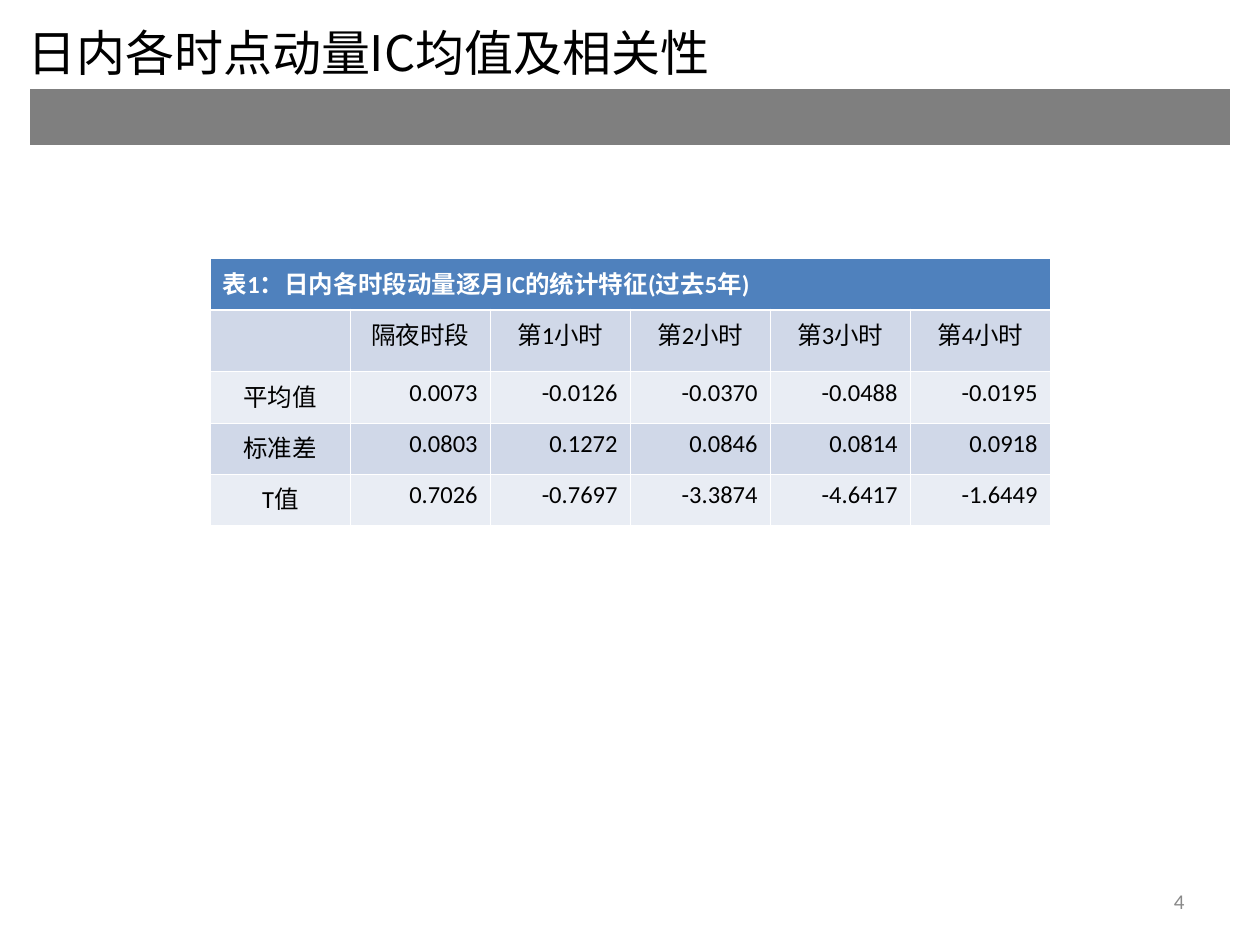
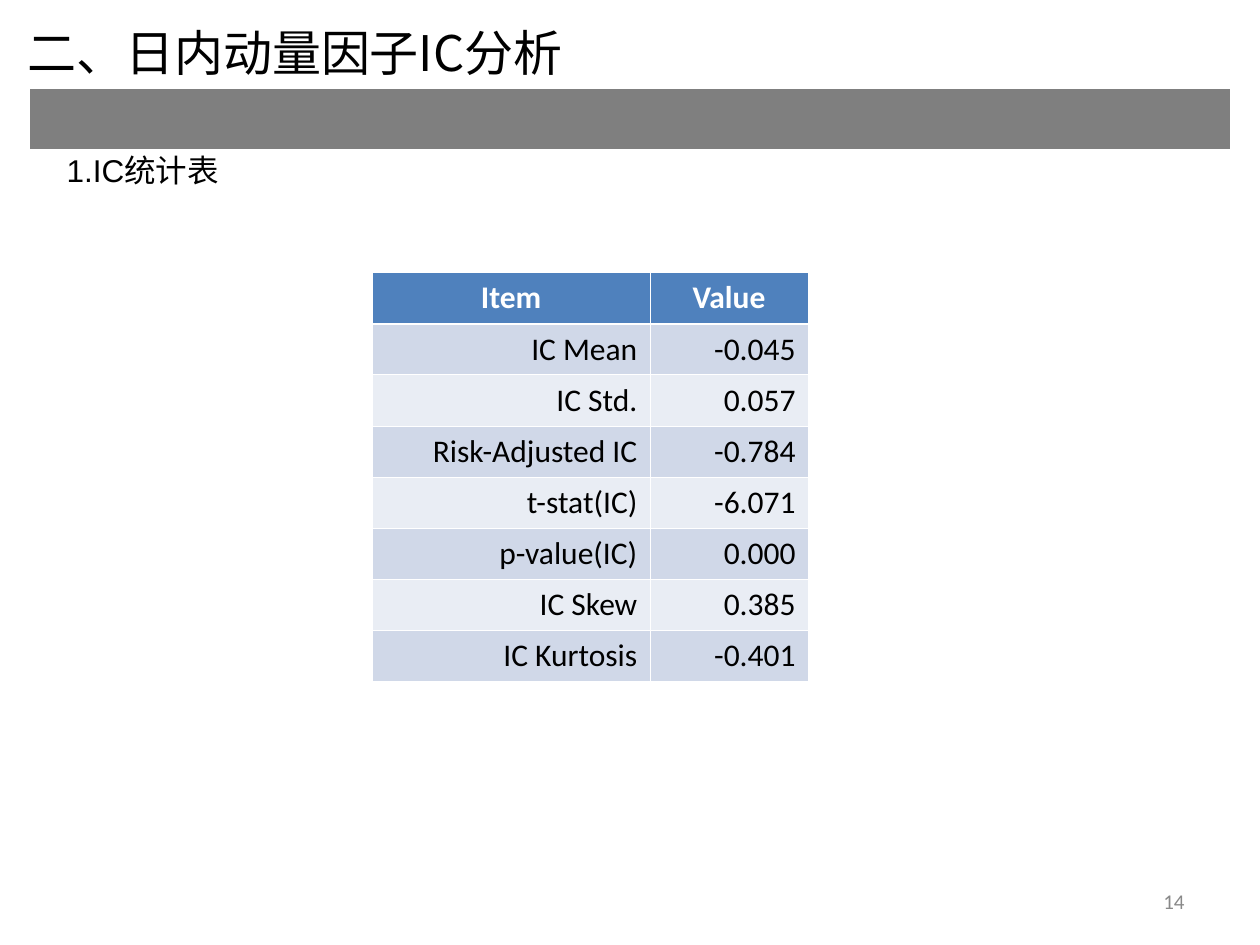
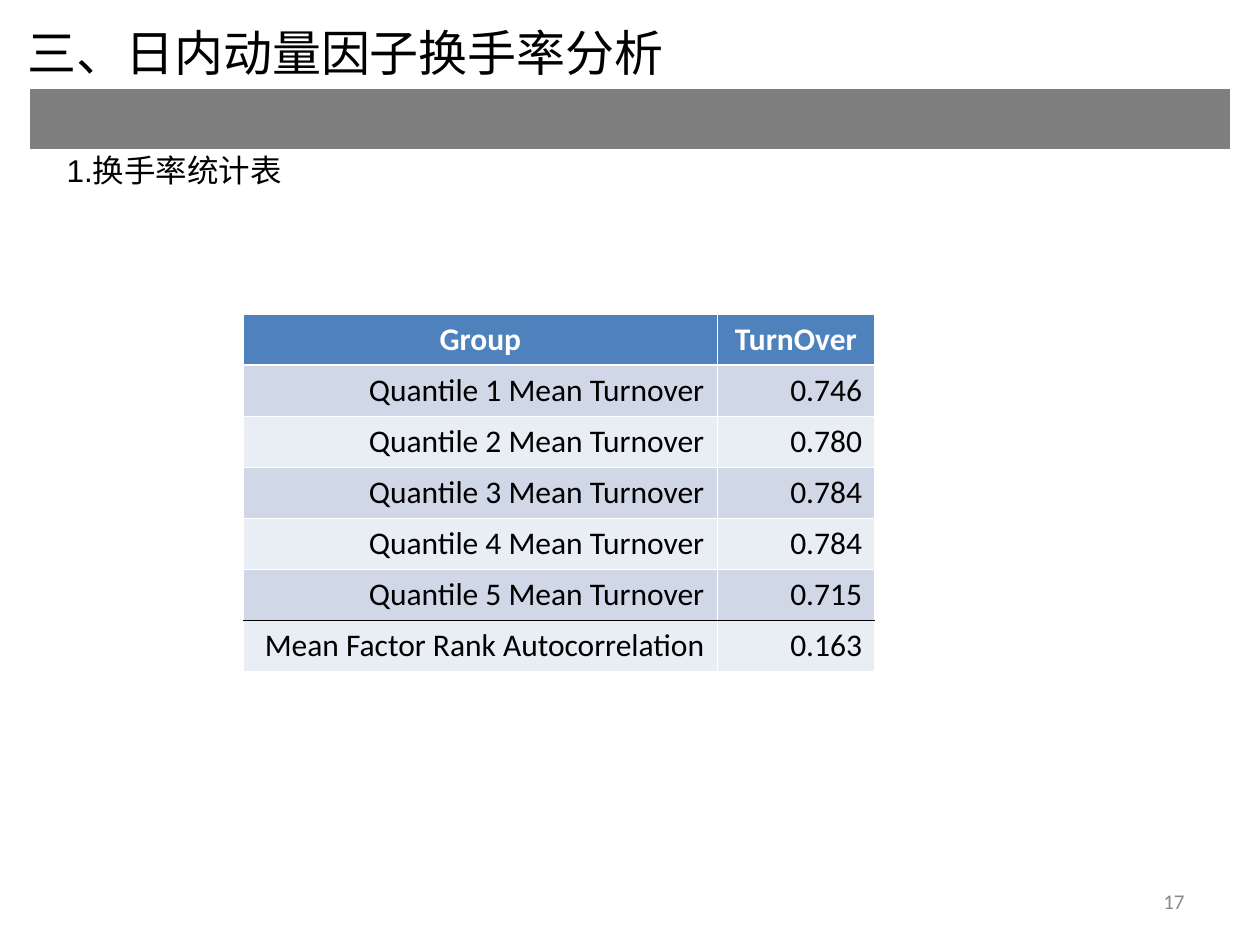
from lxml import etree
from pptx import Presentation
from pptx.dml.color import RGBColor
from pptx.enum.text import MSO_ANCHOR, PP_ALIGN
from pptx.oxml.ns import qn
from pptx.util import Pt

LEFT, MID, RIGHT, JUST = PP_ALIGN.LEFT, PP_ALIGN.CENTER, PP_ALIGN.RIGHT, PP_ALIGN.JUSTIFY
TOP, CENTER = MSO_ANCHOR.TOP, MSO_ANCHOR.MIDDLE
WHITE, BLACK, GRAY, PALE = "FFFFFF", "000000", "7F7F7F", "898989"
BLUE, DARK, LIGHT = "4F81BD", "D0D8E8", "E9EDF4"
BODY, ASIAN, PLAIN = "Calibri", "Noto Sans CJK SC", "Arial"
THIN, THICK = 0.45, 1.47
ROW = 29.2


def color(code):
    return RGBColor.from_string(code)


def write(frame, text, size, font, tint=BLACK, align=LEFT, bold=False):
    para = frame.paragraphs[0]
    para.text = text
    para.alignment = align
    para.font.size = Pt(size)
    para.font.bold = bold
    para.font.color.rgb = color(tint)
    para.font.name = font
    props = para._p.pPr.find(qn("a:defRPr"))
    etree.SubElement(props, qn("a:ea")).set("typeface", ASIAN)


def label(slide, box, text, size, font, tint=BLACK, align=LEFT, anchor=TOP):
    frame = slide.shapes.add_textbox(*map(Pt, box)).text_frame
    frame.word_wrap = True
    frame.vertical_anchor = anchor
    write(frame, text, size, font, tint, align)


def paint(cell, fill, top=(WHITE, THIN), base=(WHITE, THIN)):
    cell.fill.solid()
    cell.fill.fore_color.rgb = color(fill)
    props = cell._tc.get_or_add_tcPr()
    side = (WHITE, THIN)
    edges = {"L": side, "R": side, "T": top, "B": base}
    for spot, (name, (tint, width)) in enumerate(edges.items()):
        line = etree.Element(qn("a:ln" + name), w=str(Pt(width)))
        solid = etree.SubElement(line, qn("a:solidFill"))
        etree.SubElement(solid, qn("a:srgbClr")).set("val", tint)
        props.insert(spot, line)


def grid(slide, left, top, cols, rows):
    size = len(rows), len(cols)
    box = left, top, sum(cols), sum(rows)
    table = slide.shapes.add_table(*size, *map(Pt, box)).table
    table.first_row = table.horz_banding = False
    for col, width in zip(table.columns, cols):
        col.width = Pt(width)
    for row, height in zip(table.rows, rows):
        row.height = Pt(height)
    return table


def stripe(table, rule=None):
    last = len(table.rows)
    edges = [(WHITE, THIN)] * (last + 1)
    edges[1] = (WHITE, THICK)
    if rule:
        edges[rule] = (BLACK, THIN)
    for i in range(last):
        fill = BLUE if i == 0 else DARK if i % 2 else LIGHT
        for cell in table.rows[i].cells:
            paint(cell, fill, edges[i], edges[i + 1])


def base(deck, title, page, wide, deep):
    slide = deck.slides.add_slide(deck.slide_layouts[6])
    band = grid(slide, 17, 50.6, [686], [deep])
    paint(band.cell(0, 0), GRAY, base=(WHITE, THICK))
    label(slide, (516, 500.4, 168, 28.8), page, 12, BODY, PALE, RIGHT, CENTER)
    label(slide, (8.6, 9.4, wide, 41), title, 28, ASIAN, align=JUST)
    return slide


def stats(slide, left, top, title, heads, data):
    rows = [ROW, 35.5] + [ROW] * len(data)
    table = grid(slide, left, top, [80] * len(heads), rows)
    stripe(table)
    table.cell(0, 0).merge(table.cell(0, len(heads) - 1))
    write(table.cell(0, 0).text_frame, title, 14, BODY, WHITE, bold=True)
    for i, line in enumerate([heads] + data, 1):
        for j, text in enumerate(line):
            align = RIGHT if i > 1 and j else MID
            write(table.cell(i, j).text_frame, text, 14, BODY, align=align)


def pairs(slide, left, top, cols, heads, data, rule=None):
    table = grid(slide, left, top, cols, [ROW] * (len(data) + 1))
    stripe(table, rule)
    for i, line in enumerate([heads] + data):
        tint, align = (BLACK, RIGHT) if i else (WHITE, MID)
        for j, text in enumerate(line):
            write(table.cell(i, j).text_frame, text, 18, BODY, tint, align, i == 0)


def topic(deck, title, page, head, wide):
    slide = base(deck, title, page, 396.7, 35.3)
    label(slide, (31, 82.8, wide, 28.8), head, 18, PLAIN)
    return slide


def main():
    deck = Presentation()
    deck.slide_width, deck.slide_height = Pt(720), Pt(540)

    slide = base(deck, "日内各时点动量IC均值及相关性", "4", 459.4, 33.2)
    stats(slide, 120.2, 147.8, "表1：日内各时段动量逐月IC的统计特征(过去5年)",
          ["", "隔夜时段"] + [f"第{n}小时" for n in range(1, 5)],
          [["平均值", "0.0073", "-0.0126", "-0.0370", "-0.0488", "-0.0195"],
           ["标准差", "0.0803", "0.1272", "0.0846", "0.0814", "0.0918"],
           ["T值", "0.7026", "-0.7697", "-3.3874", "-4.6417", "-1.6449"]])

    slide = topic(deck, "二、日内动量因子IC分析", "14", "1.IC统计表", 113)
    pairs(slide, 212.8, 155.8, [158.6, 90.4], ["Item", "Value"],
          [["IC Mean", "-0.045"], ["IC Std.", "0.057"],
           ["Risk-Adjusted IC", "-0.784"], ["t-stat(IC)", "-6.071"],
           ["p-value(IC)", "0.000"], ["IC Skew", "0.385"],
           ["IC Kurtosis", "-0.401"]])

    slide = topic(deck, "三、日内动量因子换手率分析", "17", "1.换手率统计表", 175.7)
    means = ["0.746", "0.780", "0.784", "0.784", "0.715"]
    data = [[f"Quantile {n} Mean Turnover", mean] for n, mean in enumerate(means, 1)]
    data.append(["Mean Factor Rank Autocorrelation", "0.163"])
    pairs(slide, 139.2, 179.4, [270.6, 90], ["Group", "TurnOver"], data, rule=6)

    deck.save("out.pptx")


if __name__ == "__main__":
    main()
